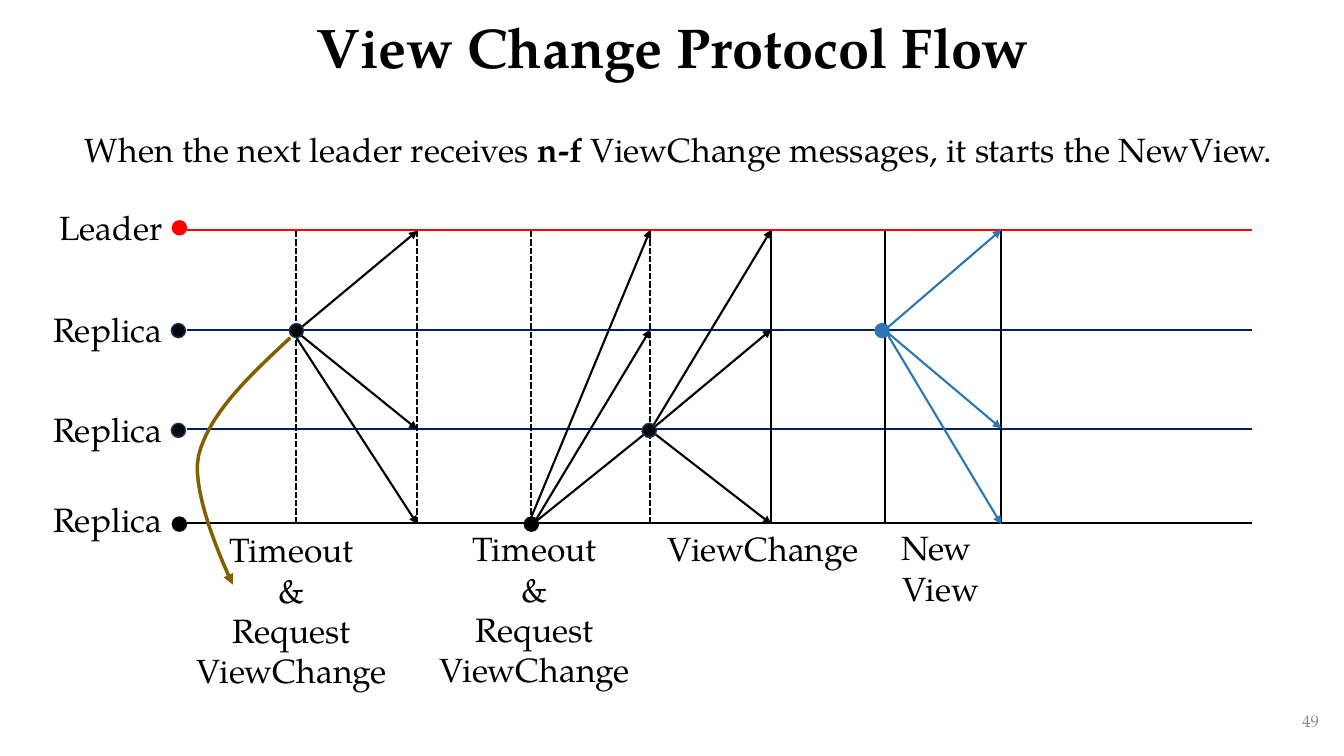
"""Builds the slide that shows the message flow of the view change protocol."""
from lxml import etree
from pptx import Presentation
from pptx.dml.color import RGBColor
from pptx.enum.dml import MSO_LINE
from pptx.enum.shapes import MSO_CONNECTOR, MSO_SHAPE
from pptx.enum.text import MSO_ANCHOR, MSO_AUTO_SIZE, PP_ALIGN
from pptx.oxml.ns import qn
from pptx.util import Pt

PX = 9144
FONT = "TeX Gyre Pagella"
STRAIGHT, ELLIPSE = MSO_CONNECTOR.STRAIGHT, MSO_SHAPE.OVAL
DASH = MSO_LINE.SQUARE_DOT
LEFT, CENTER, RIGHT = PP_ALIGN.LEFT, PP_ALIGN.CENTER, PP_ALIGN.RIGHT
TOP, MIDDLE = MSO_ANCHOR.TOP, MSO_ANCHOR.MIDDLE
NO_AUTOFIT = MSO_AUTO_SIZE.NONE

BLACK = RGBColor(0x00, 0x00, 0x00)
GRAY = RGBColor(0x8C, 0x8C, 0x8C)
RED = RGBColor(0xFF, 0x00, 0x00)
NAVY = RGBColor(0x00, 0x20, 0x60)
INK = RGBColor(0x07, 0x08, 0x0B)
INK_EDGE = RGBColor(0x1E, 0x32, 0x56)
BLUE = RGBColor(0x2E, 0x75, 0xB6)
BROWN = RGBColor(0x80, 0x60, 0x00)

TITLE = "View Change Protocol Flow"
STATEMENT = [
    ("When the next leader receives ", False),
    ("n-f ", True),
    ("ViewChange messages, it starts the NewView.", False),
]
PAGE_NUMBER = "49"

# name, label top, line y, line colour
LANES = [
    ("Leader", 200, 228, RED),
    ("Replica", 302, 327, NAVY),
    ("Replica", 401, 426, NAVY),
    ("Replica", 490, 519, BLACK),
]
LANE_START, LANE_END, LABEL_LEFT, LABEL_RIGHT = 185, 1242, 35, 171

# left, top, fill, edge
DOT_SIZE = 14
DOTS = [
    (171, 219, RED, RED),
    (170, 321, INK, INK_EDGE),
    (170, 420, INK, INK_EDGE),
    (171, 513, BLACK, BLACK),
    (287, 321, INK, INK_EDGE),
    (520, 513, BLACK, BLACK),
    (637, 420, INK, INK_EDGE),
    (868, 321, BLUE, BLUE),
]

# x, dash
PHASE_EDGES = [(294, DASH), (414, DASH), (527, DASH), (645, DASH),
               (765, None), (878, None), (993, None)]
PHASE_TOP, PHASE_BOTTOM = 229, 520

# colour, target x, (start x, start y, target y)
MESSAGES = [
    (BLACK, 414, [(295, 328, 229), (299, 333, 426), (294, 335, 520)]),
    (BLACK, 645, [(522, 525, 228), (532, 515, 327), (522, 525, 426)]),
    (BLACK, 765, [(645, 427, 228), (645, 427, 327), (645, 427, 520)]),
    (BLUE, 993, [(878, 327, 228), (878, 328, 425), (878, 328, 520)]),
]

# box, lines
PHASES = [
    ((170, 520, 238, 172), ["Timeout", "&", "Request ViewChange"]),
    ((414, 519, 232, 172), ["Timeout", "&", "Request ViewChange"]),
    ((641, 519, 232, 50), ["ViewChange"]),
    ((868, 518, 130, 91), ["New ", "View"]),
]

TIMEOUT_CURVES = [
    ((288, 335), (247, 373), (207, 411), (197, 452)),
    ((197, 452), (188, 492), (231, 580), (231, 580)),
]
CURVE_STEPS = 16


def place(shape, box):
    shape.left, shape.top, shape.width, shape.height = (length * PX for length in box)


def style_paragraph(paragraph, size, color, align):
    paragraph.alignment = align
    paragraph.font.name = FONT
    paragraph.font.size = Pt(size)
    paragraph.font.color.rgb = color


def add_text(slide, box, lines, align, size=24, color=BLACK, anchor=TOP):
    shape = slide.shapes.add_textbox(*(length * PX for length in box))
    frame = shape.text_frame
    frame.word_wrap = True
    frame.vertical_anchor = anchor
    frame.text = "\n".join(lines)
    for paragraph in frame.paragraphs:
        style_paragraph(paragraph, size, color, align)


def add_arrowhead(line_shape):
    outline = line_shape.line._get_or_add_ln()
    etree.SubElement(outline, qn("a:tailEnd"), type="triangle")


def add_line(slide, start, end, color, dash=None, arrow=False):
    connector = slide.shapes.add_connector(
        STRAIGHT, *(length * PX for length in (*start, *end)))
    connector.line.color.rgb = color
    connector.line.width = Pt(1.5)
    if dash is not None:
        connector.line.dash_style = dash
    if arrow:
        add_arrowhead(connector)
    etree.SubElement(connector._element.spPr, qn("a:effectLst"))


def add_dot(slide, left, top, fill, edge):
    dot = slide.shapes.add_shape(
        ELLIPSE, *(length * PX for length in (left, top, DOT_SIZE, DOT_SIZE)))
    dot.shadow.inherit = False
    dot.fill.solid()
    dot.fill.fore_color.rgb = fill
    dot.line.color.rgb = edge
    dot.line.width = Pt(1)


def curve_point(curve, t):
    weights = ((1 - t) ** 3, 3 * t * (1 - t) ** 2, 3 * t ** 2 * (1 - t), t ** 3)
    return tuple(round(PX * sum(weight * point[axis] for weight, point in zip(weights, curve)))
                 for axis in (0, 1))


def add_timeout_arrow(slide):
    start = curve_point(TIMEOUT_CURVES[0], 0)
    points = [curve_point(curve, step / CURVE_STEPS)
              for curve in TIMEOUT_CURVES for step in range(1, CURVE_STEPS + 1)]
    builder = slide.shapes.build_freeform(*start)
    builder.add_line_segments(points, close=False)
    arrow = builder.convert_to_shape()
    arrow.shadow.inherit = False
    arrow.fill.background()
    arrow.line.color.rgb = BROWN
    arrow.line.width = Pt(2.5)
    add_arrowhead(arrow)


def fill_placeholders(slide):
    title, body = slide.placeholders
    place(title, (92, 0, 1150, 99))
    title.text_frame.text = TITLE
    title.text_frame.vertical_anchor = MIDDLE
    place(body, (27, 127, 1292, 55))
    statement = body.text_frame.paragraphs[0]
    for text, bold in STATEMENT:
        run = statement.add_run()
        run.text = text
        run.font.bold = bold
    statement.space_before = Pt(10)
    properties = statement._p.get_or_add_pPr()
    properties.set("marL", "0")
    properties.set("indent", "0")
    etree.SubElement(properties, qn("a:buNone"))
    heading = title.text_frame.paragraphs[0]
    heading.font.bold = True
    for shape, paragraph, size in ((title, heading, 40), (body, statement, 24)):
        shape.text_frame.auto_size = NO_AUTOFIT
        paragraph.line_spacing = 0.9
        style_paragraph(paragraph, size, BLACK, CENTER)


def main():
    presentation = Presentation()
    presentation.slide_width, presentation.slide_height = 1333 * PX, 750 * PX
    slide = presentation.slides.add_slide(presentation.slide_layouts[1])
    fill_placeholders(slide)
    add_text(slide, (1018, 695, 300, 40), [PAGE_NUMBER], RIGHT, 12, GRAY, MIDDLE)
    for name, label_top, y, color in LANES:
        add_text(slide, (LABEL_LEFT, label_top, LABEL_RIGHT - LABEL_LEFT, 50), [name], RIGHT)
        add_line(slide, (LANE_START, y), (LANE_END, y), color)
    for x, dash in PHASE_EDGES:
        add_line(slide, (x, PHASE_TOP), (x, PHASE_BOTTOM), BLACK, dash)
    for color, target_x, arrows in MESSAGES:
        for start_x, start_y, target_y in arrows:
            add_line(slide, (start_x, start_y), (target_x, target_y), color, arrow=True)
    for dot in DOTS:
        add_dot(slide, *dot)
    for box, lines in PHASES:
        add_text(slide, box, lines, CENTER)
    add_timeout_arrow(slide)
    presentation.save("out.pptx")


if __name__ == "__main__":
    main()
